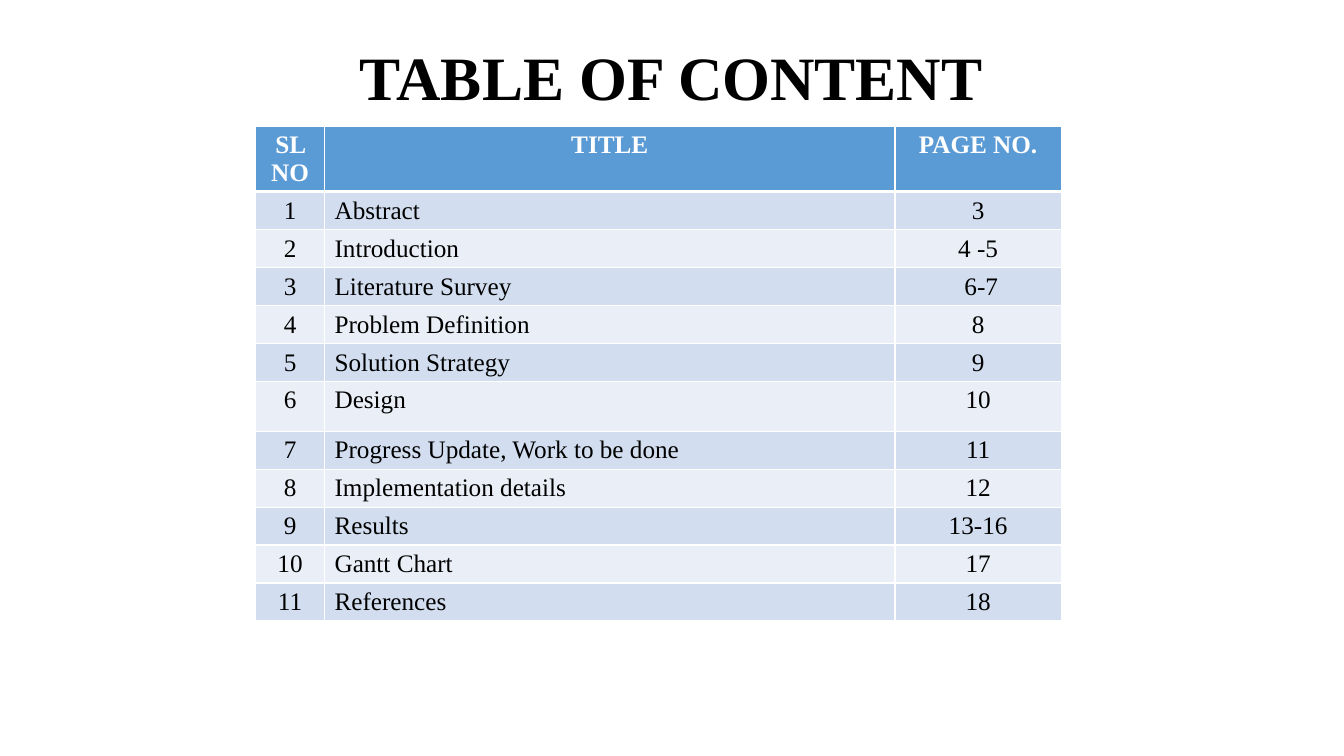
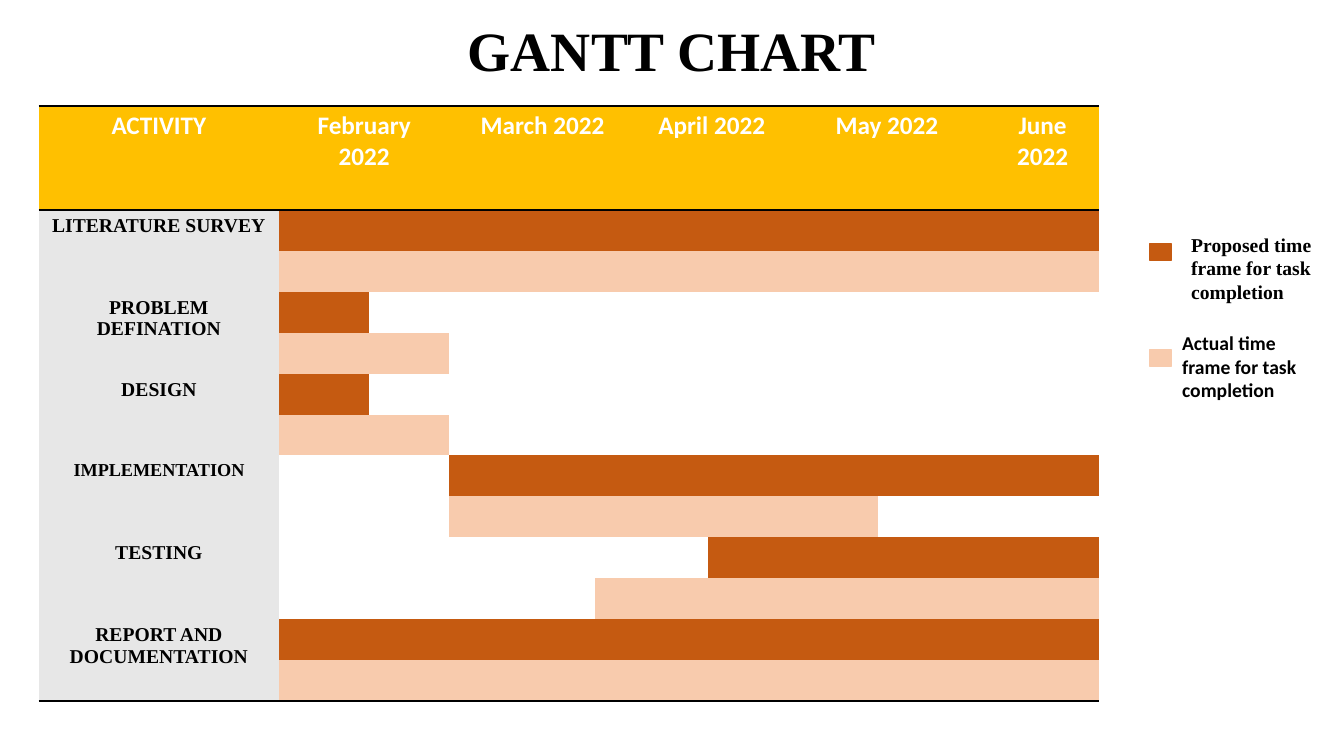
from lxml.etree import SubElement
from pptx import Presentation
from pptx.dml.color import RGBColor
from pptx.enum.shapes import MSO_SHAPE
from pptx.enum.text import MSO_ANCHOR, PP_ALIGN
from pptx.oxml.ns import qn
from pptx.util import Pt

BLACK = RGBColor(0x00, 0x00, 0x00)
WHITE = RGBColor(0xFF, 0xFF, 0xFF)
BLUE = RGBColor(0x5B, 0x9B, 0xD5)
BLUE_BANDS = (RGBColor(0xD2, 0xDE, 0xEF), RGBColor(0xEA, 0xEF, 0xF7))
GOLD = RGBColor(0xFF, 0xC0, 0x00)
GREY = RGBColor(0xE7, 0xE7, 0xE7)
PROPOSED = RGBColor(0xC5, 0x5A, 0x11)
ACTUAL = RGBColor(0xF8, 0xCB, 0xAD)

SERIF = "Times New Roman"
SANS = "Calibri"
PLAIN_STYLE = "{2D5ABB26-0587-4C30-8999-92F81FD0307C}"
CENTER, LEFT = PP_ALIGN.CENTER, PP_ALIGN.LEFT

CONTENTS = [
    ("SL NO", "TITLE", "PAGE NO."),
    ("1", "Abstract", "3"),
    ("2", "Introduction", "4 -5"),
    ("3", "Literature Survey", " 6-7"),
    ("4", "Problem Definition", "8"),
    ("5", "Solution Strategy", "9"),
    ("6", "Design", "10"),
    ("7", "Progress Update, Work to be done", "11"),
    ("8", "Implementation details", "12"),
    ("9", "Results", "13-16"),
    ("10", "Gantt Chart", "17"),
    ("11", "References", "18"),
]

# Heading and the number of columns it spans
MONTHS = [
    ("ACTIVITY", 1),
    ("February 2022", 2),
    ("March 2022", 2),
    ("April 2022", 2),
    ("May 2022", 2),
    ("June 2022", 1),
]
# Activity, text size, then for the proposed and the actual row:
# first and last column of the bar, and the column spans of the row's cells
QUARTERS = (1, 1, 4, 2, 1)
ACTIVITIES = [
    ("LITERATURE SURVEY", 14, (1, 9, (9,)), (1, 9, QUARTERS)),
    ("PROBLEM DEFINATION", 14, (1, 1, QUARTERS), (1, 2, QUARTERS)),
    ("DESIGN", 14, (1, 1, (1, 5, 2, 1)), (1, 2, (1, 1, 2, 2, 2, 1))),
    ("IMPLEMENTATION", 13, (3, 9, (1, 1, 7)), (3, 7, (1, 1, 1, 2, 2, 2))),
    ("TESTING", 14, (6, 9, (1, 2, 2, 4)), (4, 9, (1, 2, 2, 3, 1))),
    ("REPORT AND DOCUMENTATION", 14, (1, 9, (9,)), (1, 9, (2, 2, 2, 2, 1))),
]


def write(frame, text, size, font=SERIF, color=BLACK, bold=True, align=CENTER):
    para = frame.paragraphs[0]
    para.text = text
    para.alignment = align
    for span in para.runs:
        span.font.size = Pt(size)
        span.font.name = font
        span.font.bold = bold
        span.font.color.rgb = color
    return para


def add_text(slide, box, text, size, **style):
    frame = slide.shapes.add_textbox(*map(Pt, box)).text_frame
    frame.word_wrap = True
    return frame, write(frame, text, size, **style)


def add_title(slide, box, text, size):
    frame, para = add_text(slide, box, text, size)
    frame.vertical_anchor = MSO_ANCHOR.MIDDLE
    para.line_spacing = 0.9


def add_plain_table(slide, left, top, widths, heights):
    """Add a table with no style of its own, sized by its columns and rows."""
    frame = slide.shapes.add_table(
        len(heights), len(widths), Pt(left), Pt(top), Pt(sum(widths)), Pt(sum(heights)))
    table = frame.table
    table.first_row = table.horz_banding = False
    table._tbl.tblPr.find(qn("a:tableStyleId")).text = PLAIN_STYLE
    for column, width in zip(table.columns, widths):
        column.width = Pt(width)
    for row, height in zip(table.rows, heights):
        row.height = Pt(height)
    return table


def paint(cell, color):
    cell.fill.solid()
    cell.fill.fore_color.rgb = color


def set_borders(cell, color, **widths):
    """Draw the sides named L, R, T and B; call before the cell is filled."""
    for side in "LRTB":
        if side in widths:
            line = SubElement(cell._tc.get_or_add_tcPr(), qn(f"a:ln{side}"),
                              w=str(Pt(widths[side])))
            fill = SubElement(line, qn("a:solidFill"))
            SubElement(fill, qn("a:srgbClr"), val=str(color))


def add_span(table, row, first, count, color):
    """Paint count cells from column first and join them into one."""
    for c in range(first, first + count):
        paint(table.cell(row, c), color)
    cell = table.cell(row, first)
    if count > 1:
        cell.merge(table.cell(row, first + count - 1))
    return cell


def add_contents_table(slide, left, top):
    heights = [46.4] + [27.15] * 11
    heights[6] = 35.5
    table = add_plain_table(slide, left, top, [49.2, 407.5, 118.8], heights)
    for r, texts in enumerate(CONTENTS):
        header = r == 0
        for c, text in enumerate(texts):
            cell = table.cell(r, c)
            cell.margin_bottom = 0
            set_borders(cell, WHITE, L=1, R=1, T=3 if r == 1 else 1, B=3 if header else 1)
            paint(cell, BLUE if header else BLUE_BANDS[(r - 1) % 2])
            write(cell.text_frame, text, 18, bold=header,
                  color=WHITE if header else BLACK,
                  align=LEFT if c == 1 and not header else CENTER)


def add_gantt_table(slide, left, top):
    widths = [171.8, 64, 57.6, 103.7, 29.5, 51.8, 56.7, 64.8, 77, 80.6]
    last_row = 2 * len(ACTIVITIES)
    table = add_plain_table(slide, left, top, widths, [74.4] + [29.23] * last_row)
    for c in range(len(widths)):
        set_borders(table.cell(0, c), BLACK, T=2, B=2)
        set_borders(table.cell(last_row, c), BLACK, B=2)
    set_borders(table.cell(last_row - 1, 0), BLACK, B=2)

    column = 0
    for text, count in MONTHS:
        cell = add_span(table, 0, column, count, GOLD)
        write(cell.text_frame, text, 18, SANS, WHITE)
        column += count

    for index, (activity, size, *bars) in enumerate(ACTIVITIES):
        top_row = 1 + 2 * index
        for row, (first, last, spans), color in zip(
                (top_row, top_row + 1), bars, (PROPOSED, ACTUAL)):
            paint(table.cell(row, 0), GREY)
            column = 1
            for count in spans:
                add_span(table, row, column, count,
                         color if first <= column <= last else WHITE)
                column += count
        label = table.cell(top_row, 0)
        label.merge(table.cell(top_row + 1, 0))
        write(label.text_frame, activity, size)


def add_legend_entry(slide, left, top, color, text, font, text_box):
    """Add a swatch and its label; text_box is relative to the swatch corner."""
    swatch = slide.shapes.add_shape(
        MSO_SHAPE.RECTANGLE, Pt(left), Pt(top), Pt(15.1), Pt(12.2))
    swatch.shadow.inherit = False
    swatch.fill.solid()
    swatch.fill.fore_color.rgb = color
    swatch.line.color.rgb = color
    swatch.line.width = Pt(1)
    dx, dy, width, height = text_box
    add_text(slide, (left + dx, top + dy, width, height), text, 14, font=font, align=LEFT)


def build_contents(slide):
    add_title(slide, (84.8, 19.4, 790, 75.6), "TABLE OF CONTENT", 44)
    add_contents_table(slide, 182.6, 90)


def build_gantt(slide):
    add_title(slide, (85, 15.1, 790, 46.8), "GANTT CHART", 39.6)
    add_gantt_table(slide, 27.6, 75.6)
    add_legend_entry(slide, 821.3, 174, PROPOSED, "Proposed time frame for task completion",
                     SERIF, (22.5, -11.3, 103, 58.3))
    add_legend_entry(slide, 821.3, 249.8, ACTUAL, "Actual time frame for task completion",
                     SANS, (16, -17, 105.8, 58.3))


def main():
    deck = Presentation()
    deck.slide_width, deck.slide_height = Pt(960), Pt(540)
    for build in (build_contents, build_gantt):
        build(deck.slides.add_slide(deck.slide_layouts[6]))
    deck.save("out.pptx")


if __name__ == "__main__":
    main()
